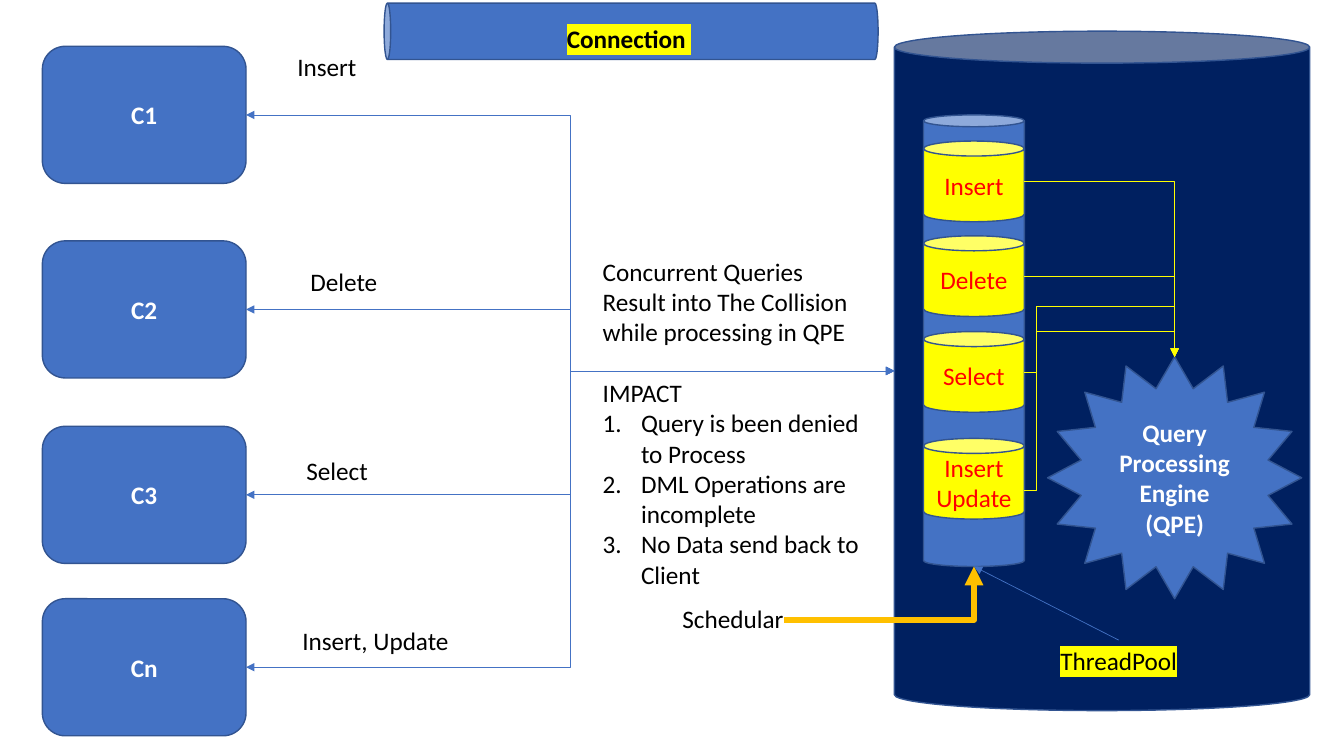
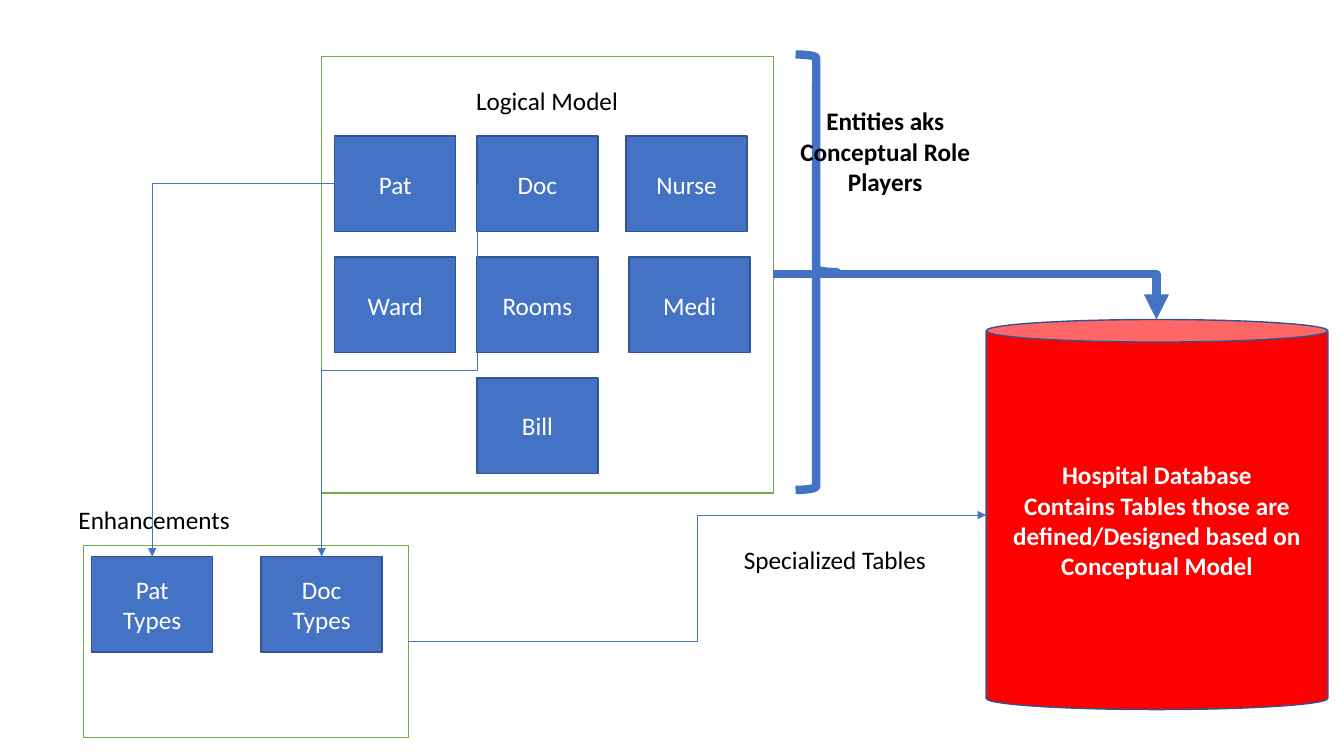
"""Build two diagram slides: concurrent queries and a hospital data model."""
from dataclasses import dataclass, replace
from typing import Optional

import lxml.etree
import pptx
import pptx.dml.color
import pptx.enum.shapes
import pptx.enum.text
import pptx.oxml.ns
import pptx.util

Inches = pptx.util.Inches
Shape = pptx.enum.shapes.MSO_SHAPE
Align = pptx.enum.text.PP_ALIGN
qn = pptx.oxml.ns.qn
Point = tuple[float, float]
Box = tuple[float, float, float, float]


@dataclass(frozen=True)
class Theme:
    font: str = "Calibri"
    text_size: float = 18
    blue: str = "4472C4"
    outline: str = "325491"
    navy: str = "002060"
    green: str = "70AD47"
    yellow: str = "FFFF00"
    gold: str = "FFC000"
    red: str = "FF0000"
    white: str = "FFFFFF"
    black: str = "000000"
    outline_width: float = 1
    thin: float = 0.5
    medium: float = 4.5
    thick: float = 6


THEME = Theme()


@dataclass(frozen=True)
class TextStyle:
    color: str = THEME.black
    bold: bool = False
    alignment: Align = Align.LEFT
    highlight: Optional[str] = None


@dataclass(frozen=True)
class Node:
    box: Box
    text: str = ""
    preset: Shape = Shape.RECTANGLE
    fill: Optional[str] = THEME.blue
    line: str = THEME.outline
    line_width: float = THEME.outline_width
    color: str = THEME.white
    bold: bool = False
    adjustment: Optional[float] = None
    rotation: float = 0


@dataclass(frozen=True)
class Label:
    box: Box
    text: str
    style: TextStyle = TextStyle()


@dataclass(frozen=True)
class Arrow:
    begin: Point
    end: Point
    preset: str = "bentConnector2"
    color: str = THEME.blue
    width: float = THEME.thin
    both_ends: bool = False
    vertical_first: bool = False
    detour: Optional[Point] = None


CENTERED = TextStyle(alignment=Align.CENTER)


def rgb(value: str) -> pptx.dml.color.RGBColor:
    return pptx.dml.color.RGBColor.from_string(value)


def write_text(text_frame, text: str, style: TextStyle) -> None:
    text_frame.text = text
    text_frame.word_wrap = True
    for paragraph in text_frame.paragraphs:
        paragraph.alignment = style.alignment
        for run in paragraph.runs:
            font = run.font
            font.size = pptx.util.Pt(THEME.text_size)
            font.bold = style.bold
            font.color.rgb = rgb(style.color)
            if style.highlight:
                highlight = lxml.etree.Element(qn("a:highlight"))
                lxml.etree.SubElement(highlight, qn("a:srgbClr"), val=style.highlight)
                run._r.rPr.find(qn("a:solidFill")).addnext(highlight)
            font.name = THEME.font


def draw_node(slide, node: Node):
    shape = slide.shapes.add_shape(node.preset, *map(Inches, node.box))
    shape.shadow.inherit = False
    shape.rotation = node.rotation
    if node.adjustment is not None:
        shape.adjustments[0] = node.adjustment
    if node.fill:
        shape.fill.solid()
        shape.fill.fore_color.rgb = rgb(node.fill)
    else:
        shape.fill.background()
    shape.line.color.rgb = rgb(node.line)
    shape.line.width = pptx.util.Pt(node.line_width)
    if node.text:
        write_text(shape.text_frame, node.text, TextStyle(node.color, node.bold, Align.CENTER))
        shape.text_frame.vertical_anchor = pptx.enum.text.MSO_ANCHOR.MIDDLE
    return shape


def draw_label(slide, label: Label):
    shape = slide.shapes.add_textbox(*map(Inches, label.box))
    write_text(shape.text_frame, label.text, label.style)
    shape.text_frame.auto_size = pptx.enum.text.MSO_AUTO_SIZE.SHAPE_TO_FIT_TEXT
    return shape


def draw_arrow(slide, arrow: Arrow):
    (x1, y1), (x2, y2) = begin, end = arrow.begin, arrow.end
    if arrow.vertical_first:
        center_x, center_y = (x1 + x2) / 2, (y1 + y2) / 2
        half_x, half_y = (x2 - x1) / 2, (y2 - y1) / 2
        begin = (center_x - half_y, center_y + half_x)
        end = (center_x + half_y, center_y - half_x)
    kinds = pptx.enum.shapes.MSO_CONNECTOR
    kind = kinds.STRAIGHT if arrow.preset == "line" else kinds.ELBOW
    connector = slide.shapes.add_connector(kind, *map(Inches, begin + end))
    connector.line.color.rgb = rgb(arrow.color)
    connector.line.width = pptx.util.Pt(arrow.width)
    properties = connector.element.spPr
    line = properties.find(qn("a:ln"))
    if arrow.both_ends:
        lxml.etree.SubElement(line, qn("a:headEnd"), type="triangle")
    lxml.etree.SubElement(line, qn("a:tailEnd"), type="triangle")
    lxml.etree.SubElement(properties, qn("a:effectLst"))
    if arrow.vertical_first:
        properties.find(qn("a:xfrm")).set("rot", "5400000")
    geometry = properties.find(qn("a:prstGeom"))
    geometry.set("prst", arrow.preset)
    if arrow.detour:
        guides = geometry.find(qn("a:avLst"))
        fractions = ((arrow.detour[0] - x1) / (x2 - x1), (arrow.detour[1] - y1) / (y2 - y1))
        for number, fraction in enumerate(fractions, start=1):
            lxml.etree.SubElement(
                guides, qn("a:gd"), name=f"adj{number}", fmla=f"val {round(fraction * 100000)}"
            )
    return connector


def number_paragraph(paragraph) -> None:
    properties = paragraph._p.get_or_add_pPr()
    properties.set("marL", str(Inches(0.38)))
    properties.set("indent", str(-Inches(0.38)))
    lxml.etree.SubElement(properties, qn("a:buFont"), typeface="+mj-lt")
    lxml.etree.SubElement(properties, qn("a:buAutoNum"), type="arabicPeriod")


def build_query_slide(slide) -> None:
    database_left, database_middle = 8.87, 3.68
    draw_node(slide, Node((database_left, 0.31, 4.12, 6.74), preset=Shape.CAN,
                          fill=THEME.navy, adjustment=0.077))
    left, width, height = 0.42, 2.02, 1.36
    for name, top in (("C1", 0.46), ("C2", 2.39), ("C3", 4.23), ("Cn", 5.94)):
        draw_node(slide, Node((left, top, width, height), name, Shape.ROUNDED_RECTANGLE, bold=True))
        draw_arrow(slide, Arrow((left + width, top + height / 2), (database_left, database_middle),
                                "bentConnector3", both_ends=True))

    pool_left, pool_width, pool_bottom = 9.16, 1.0, 5.62
    pool_center = pool_left + pool_width / 2
    draw_node(slide, Node((pool_left, 1.14, pool_width, 4.48), preset=Shape.CAN, adjustment=0.117))
    draw_arrow(slide, Arrow((7.78, 6.15), (pool_center, pool_bottom),
                            color=THEME.gold, width=THEME.medium))
    draw_node(slide, Node((5.98, -2.14, 0.56, 4.9), preset=Shape.CAN,
                          adjustment=0.117, rotation=270))
    marked = replace(CENTERED, highlight=THEME.yellow)
    for label in (
        Label((6.67, 5.94, 1.88, 0.4), "Schedular"),
        Label((2.85, 0.46, 1.09, 0.4), "Insert"),
        Label((2.98, 2.59, 1.09, 0.4), "Delete"),
        Label((2.94, 4.47, 1.09, 0.4), "Select"),
        Label((2.9, 6.15, 2.24, 0.4), "Insert, Update"),
        Label((4.18, 0.18, 4.12, 0.4), "Connection ", replace(marked, bold=True)),
    ):
        draw_label(slide, label)
    pool_label = draw_label(slide, Label((9.82, 6.35, 2.55, 0.4), "ThreadPool", marked))

    engine_top = (11.65, 3.54)
    query_height = 0.8
    draw_node(slide, Node((10.39, 3.54, 2.52, 2.4), "Query\nProcessing\nEngine\n(QPE)",
                          Shape.STAR_16_POINT, bold=True))
    for text, top, exit_y, detour in (
        ("Insert", 1.4, 1.8, None),
        ("Delete", 2.34, 2.74, None),
        ("Select", 3.29, 3.69, (10.28, 3.04)),
        ("Insert\nUpdate", 4.35, 4.87, (10.28, 3.29)),
    ):
        draw_node(slide, Node((pool_left, top, pool_width, query_height), text, Shape.CAN,
                              THEME.yellow, color=THEME.red, adjustment=0.186))
        preset = "bentConnector4" if detour else "bentConnector2"
        draw_arrow(slide, Arrow((pool_left + pool_width, exit_y), engine_top, preset,
                                THEME.yellow, detour=detour))
    pointer = draw_arrow(slide, Arrow((11.09, 6.35), (pool_center, pool_bottom), "line"))
    pointer.begin_connect(pool_label, 0)

    impact = draw_label(slide, Label((5.88, 2.49, 2.83, 3.43), "\n".join((
        "Concurrent Queries Result into The Collision while processing in QPE",
        "IMPACT",
        "Query is been denied to Process",
        "DML Operations are incomplete",
        "No Data send back to Client",
    ))))
    paragraphs = impact.text_frame.paragraphs
    paragraphs[1].space_before = pptx.util.Pt(22)
    for paragraph in paragraphs[2:]:
        number_paragraph(paragraph)


def build_model_slide(slide) -> None:
    width, height = 1.2, 0.95
    first_top, row_step = 1.35, 1.2
    panel = Node((3.19, 0.56, 4.48, 4.33), fill=THEME.white, line=THEME.green)
    draw_node(slide, panel)
    draw_label(slide, Label((3.32, 0.8, 4.21, 0.4), "Logical Model", CENTERED))
    entity_rows = (
        (("Pat", 3.32), ("Doc", 4.73), ("Nurse", 6.21)),
        (("Ward", 3.32), ("Rooms", 4.73), ("Medi", 6.24)),
        (("Bill", 4.73),),
    )
    for row, entities in enumerate(entity_rows):
        for name, left in entities:
            draw_node(slide, Node((left, first_top + row * row_step, width, height), name))

    draw_node(slide, Node((7.89, 0.54, 0.41, 4.32), preset=Shape.RIGHT_BRACE, fill=None,
                          line=THEME.blue, line_width=THEME.thick))
    draw_label(slide, Label((7.74, 1, 2.08, 1.01), "Entities aks Conceptual Role Players",
                            replace(CENTERED, bold=True)))
    draw_node(slide, Node(
        (9.78, 3.17, 3.39, 3.87),
        "Hospital Database\nContains Tables those are defined/Designed based on Conceptual Model",
        Shape.CAN, THEME.red, bold=True, adjustment=0.066,
    ))
    draw_arrow(slide, Arrow((7.67, 2.72), (11.47, 3.17), width=THEME.thick))

    draw_node(slide, replace(panel, box=(0.83, 5.41, 3.22, 1.91)))
    draw_label(slide, Label((0.68, 4.95, 2.02, 0.4), "Enhancements"))
    types_top = 5.52
    for name, left in (("Pat", 0.91), ("Doc", 2.59)):
        draw_node(slide, Node((left, types_top, width, height), f"{name}\nTypes"))
    draw_arrow(slide, Arrow((3.32, 1.82), (1.51, types_top)))
    draw_arrow(slide, Arrow((4.73, 1.82), (3.19, types_top), "bentConnector3", vertical_first=True))
    draw_arrow(slide, Arrow((4.05, 6.36), (9.78, 5.11), "bentConnector3"))
    draw_label(slide, Label((7.28, 5.35, 2.5, 0.4), "Specialized Tables"))


def main() -> None:
    presentation = pptx.Presentation()
    presentation.slide_width = Inches(13.33)
    presentation.slide_height = Inches(7.5)
    blank_layout = presentation.slide_layouts[6]
    for build in (build_query_slide, build_model_slide):
        build(presentation.slides.add_slide(blank_layout))
    presentation.save("out.pptx")


if __name__ == "__main__":
    main()
